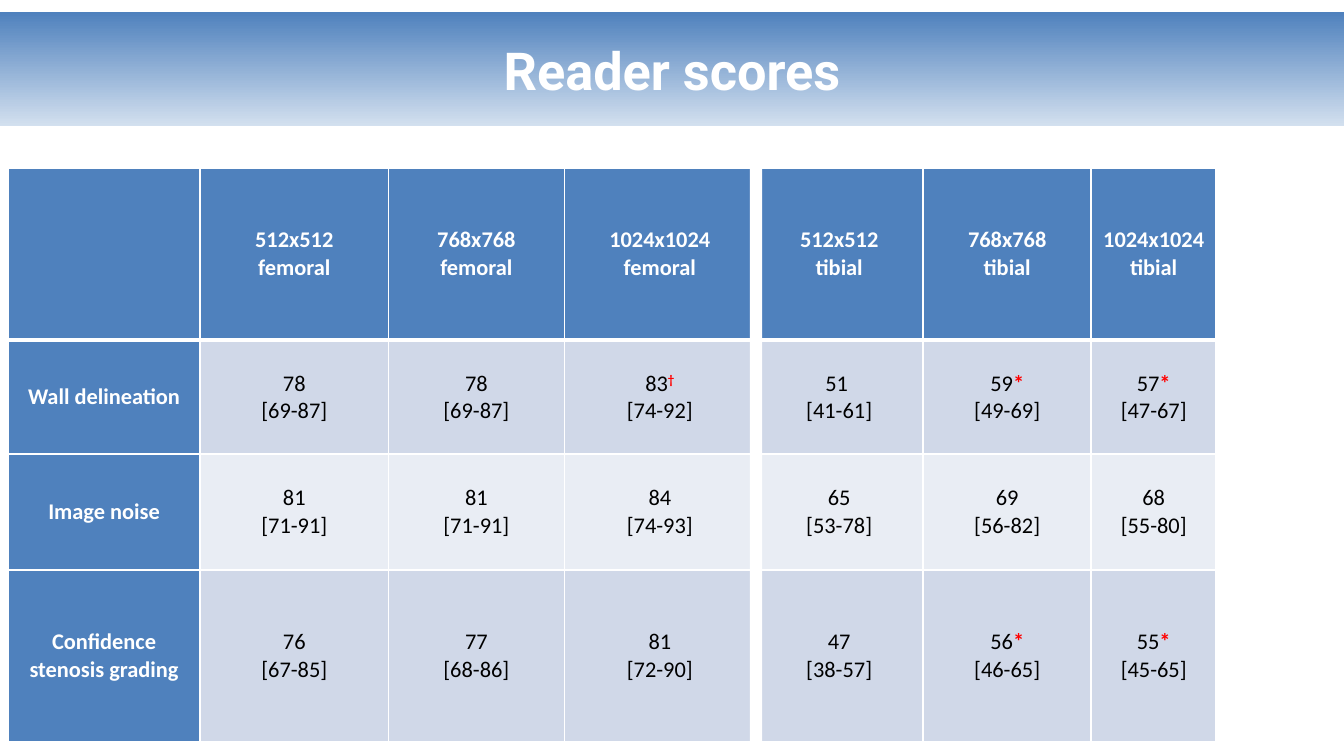
from dataclasses import dataclass

from lxml.etree import SubElement
from pptx import Presentation
from pptx.dml.color import RGBColor
from pptx.enum.shapes import MSO_SHAPE
from pptx.enum.text import MSO_ANCHOR, PP_ALIGN
from pptx.oxml.ns import qn
from pptx.slide import Slide
from pptx.table import _Cell
from pptx.text.text import _Paragraph
from pptx.util import Inches, Pt


@dataclass(frozen=True)
class Theme:
    blue: str = "4F81BD"
    pale_blue: str = "D3E0EF"
    band_dark: str = "D0D8E8"
    band_light: str = "E9EDF4"
    white: str = "FFFFFF"
    black: str = "000000"
    red: str = "FF0000"
    title_font: str = "Roboto"
    table_font: str = "Calibri"
    title_size: int = 28
    table_size: int = 12


@dataclass(frozen=True)
class Score:
    mean: str
    interval: str
    mark: str = ""


@dataclass(frozen=True)
class Criterion:
    label: str
    height: float
    band: str
    scores: tuple[Score, ...]


THEME = Theme()

# Slide size, 16:9
SLIDE_WIDTH = 10
SLIDE_HEIGHT = SLIDE_WIDTH * 9 / 16

# Table content
HEADER_HEIGHT = 1.28
COLUMN_WIDTHS = (1.43, 1.4, 1.31, 1.42, 1.25, 1.25, 0.93)
MATRICES = ("512x512", "768x768", "1024x1024")
ARTERIES = ("femoral", "tibial")
CRITERIA = (
    Criterion("Wall delineation", 0.85, THEME.band_dark, (
        Score("78", "[69-87]"), Score("78", "[69-87]"), Score("83", "[74-92]", "†"),
        Score("51 ", "[41-61]"), Score("59", "[49-69]", "*"), Score("57", "[47-67]", "*"))),
    Criterion("Image noise", 0.86, THEME.band_light, (
        Score("81", "[71-91]"), Score("81", "[71-91]"), Score("84", "[74-93]"),
        Score("65", "[53-78]"), Score("69", "[56-82]"), Score("68", "[55-80]"))),
    Criterion("Confidence stenosis grading", 1.28, THEME.band_dark, (
        Score("76", "[67-85]"), Score("77", "[68-86]"), Score("81", "[72-90]"),
        Score("47", "[38-57]"), Score("56", "[46-65]", "*"), Score("55", "[45-65]", "*"))),
)
TABLE_LEFT, TABLE_TOP = 0.06, 1.25
TABLE_HEIGHT = HEADER_HEIGHT + sum(criterion.height for criterion in CRITERIA)


def add_run(paragraph: _Paragraph, text: str, color: str, bold: bool = False,
            font: str = THEME.table_font, size: int = THEME.table_size,
            superscript: bool = False) -> None:
    run = paragraph.add_run()
    run.text = text
    run.font.name = font
    run.font.size = Pt(size)
    run.font.bold = bold
    run.font.color.rgb = RGBColor.from_string(color)
    if superscript:
        run.font._element.set("baseline", "30000")


def style_cell(cell: _Cell, fill: str, bottom_border: float = 1) -> None:
    cell.margin_left = cell.margin_right = Inches(0.07)
    cell.margin_top = cell.margin_bottom = 0
    cell.vertical_anchor = MSO_ANCHOR.MIDDLE
    properties = cell._tc.get_or_add_tcPr()
    for side, width in (("L", 1), ("R", 1), ("T", 1), ("B", bottom_border)):
        border = SubElement(properties, qn(f"a:ln{side}"), w=str(Pt(width)))
        border_fill = SubElement(border, qn("a:solidFill"))
        SubElement(border_fill, qn("a:srgbClr"), val=THEME.white)
    cell.fill.solid()
    cell.fill.fore_color.rgb = RGBColor.from_string(fill)


def cell_lines(cell: _Cell, count: int) -> list[_Paragraph]:
    frame = cell.text_frame
    lines = [frame.paragraphs[0]] + [frame.add_paragraph() for _ in range(count - 1)]
    for line in lines:
        line.alignment = PP_ALIGN.CENTER
    return lines


def write_heading(cell: _Cell, *texts: str, bottom_border: float = 1) -> None:
    style_cell(cell, THEME.blue, bottom_border)
    for line, text in zip(cell_lines(cell, len(texts)), texts):
        add_run(line, text, THEME.white, bold=True)


def write_score(cell: _Cell, score: Score, band: str) -> None:
    style_cell(cell, band)
    mean_line, interval_line = cell_lines(cell, 2)
    add_run(mean_line, score.mean, THEME.black)
    if score.mark:
        add_run(mean_line, score.mark, THEME.red, bold=True, superscript=score.mark == "†")
    add_run(interval_line, score.interval, THEME.black)


def add_title_banner(slide: Slide) -> None:
    banner = slide.shapes.add_shape(
        MSO_SHAPE.RECTANGLE, 0, Inches(0.09), Inches(SLIDE_WIDTH), Inches(0.85))
    banner.shadow.inherit = False
    banner.line.fill.background()
    banner.fill.gradient()
    banner.fill.gradient_angle = 270
    stops = zip(banner.fill.gradient_stops, (THEME.blue, THEME.pale_blue))
    for position, (stop, color) in enumerate(stops):
        stop.position = position
        stop.color.rgb = RGBColor.from_string(color)
    banner.text_frame.vertical_anchor = MSO_ANCHOR.MIDDLE
    title = banner.text_frame.paragraphs[0]
    title.alignment = PP_ALIGN.CENTER
    add_run(title, "Reader scores", THEME.white, bold=True,
            font=THEME.title_font, size=THEME.title_size)


def add_score_table(slide: Slide) -> None:
    table = slide.shapes.add_table(
        len(CRITERIA) + 1, len(COLUMN_WIDTHS), Inches(TABLE_LEFT), Inches(TABLE_TOP),
        Inches(sum(COLUMN_WIDTHS)), Inches(TABLE_HEIGHT)).table
    for column, width in zip(table.columns, COLUMN_WIDTHS):
        column.width = Inches(width)
    heights = [HEADER_HEIGHT] + [criterion.height for criterion in CRITERIA]
    for row, height in zip(table.rows, heights):
        row.height = Inches(height)

    # Header row
    style_cell(table.cell(0, 0), THEME.blue, bottom_border=3)
    headings = [(matrix, artery) for artery in ARTERIES for matrix in MATRICES]
    for column_index, heading in enumerate(headings, start=1):
        write_heading(table.cell(0, column_index), *heading, bottom_border=3)

    # One row per criterion
    for row_index, criterion in enumerate(CRITERIA, start=1):
        write_heading(table.cell(row_index, 0), criterion.label)
        for column_index, score in enumerate(criterion.scores, start=1):
            write_score(table.cell(row_index, column_index), score, criterion.band)


def add_artery_divider(slide: Slide) -> None:
    divider = slide.shapes.add_shape(
        MSO_SHAPE.RECTANGLE, Inches(5.58), Inches(TABLE_TOP),
        Inches(0.09), Inches(TABLE_HEIGHT))
    divider.shadow.inherit = False
    divider.line.fill.background()
    divider.fill.solid()
    divider.fill.fore_color.rgb = RGBColor.from_string(THEME.white)


def main() -> None:
    presentation = Presentation()
    presentation.slide_width = Inches(SLIDE_WIDTH)
    presentation.slide_height = Inches(SLIDE_HEIGHT)
    slide = presentation.slides.add_slide(presentation.slide_layouts[6])
    add_title_banner(slide)
    add_score_table(slide)
    add_artery_divider(slide)
    presentation.save("out.pptx")


if __name__ == "__main__":
    main()
